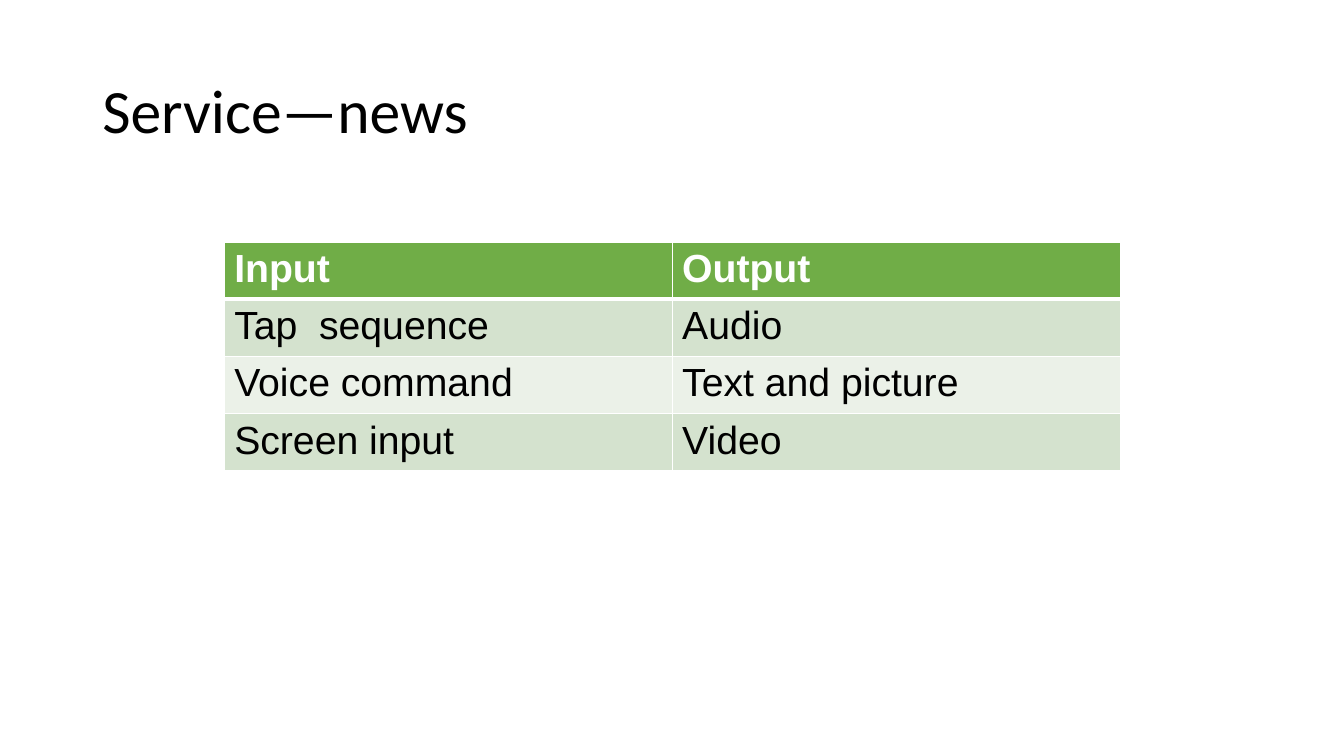
from dataclasses import dataclass

from lxml.etree import SubElement
from pptx import Presentation
from pptx.dml.color import RGBColor
from pptx.enum.text import MSO_ANCHOR
from pptx.oxml.ns import qn
from pptx.slide import Slide
from pptx.table import _Cell
from pptx.util import Cm, Pt

WHITE = "FFFFFF"
BLACK = "000000"
ROW_HEIGHT = 1.35
COLUMN_WIDTH = 11.29


@dataclass(frozen=True)
class ServiceRow:
    input: str
    output: str
    fill: str
    ink: str = BLACK
    bold: bool = False
    top_rule: float = 1
    bottom_rule: float = 1


SERVICE_ROWS = [
    ServiceRow("Input", "Output", "70AD47", WHITE, True, bottom_rule=3),
    ServiceRow("Tap  sequence", "Audio", "D4E2CE", top_rule=3),
    ServiceRow("Voice command", "Text and picture", "EBF1E8"),
    ServiceRow("Screen input", "Video", "D4E2CE"),
]


def color(hex_value: str) -> RGBColor:
    return RGBColor.from_string(hex_value)


def draw_borders(cell: _Cell, row: ServiceRow) -> None:
    properties = cell._tc.get_or_add_tcPr()
    widths = {"lnL": 1, "lnR": 1, "lnT": row.top_rule, "lnB": row.bottom_rule}
    for position, (side, width) in enumerate(widths.items()):
        border = SubElement(properties, qn(f"a:{side}"), w=str(Pt(width)))
        fill = SubElement(border, qn("a:solidFill"))
        SubElement(fill, qn("a:srgbClr"), val=WHITE)
        properties.insert(position, border)


def draw_cell(cell: _Cell, wording: str, row: ServiceRow) -> None:
    cell.text = wording
    font = cell.text_frame.paragraphs[0].font
    font.name = "Arial"
    font.size = Pt(28)
    font.bold = row.bold
    font.color.rgb = color(row.ink)
    cell.fill.solid()
    cell.fill.fore_color.rgb = color(row.fill)
    draw_borders(cell, row)


def draw_title(slide: Slide, wording: str) -> None:
    frame = slide.shapes.add_textbox(Cm(2.33), Cm(1.01), Cm(29.21), Cm(3.68)).text_frame
    frame.word_wrap = True
    frame.vertical_anchor = MSO_ANCHOR.MIDDLE
    heading = frame.paragraphs[0]
    heading.text = wording
    heading.line_spacing = 0.9
    heading.font.name = "Calibri"
    heading.font.size = Pt(44)
    heading.font.color.rgb = color(BLACK)


def draw_services(slide: Slide, rows: list[ServiceRow]) -> None:
    services = slide.shapes.add_table(
        len(rows), 2, Cm(5.65), Cm(6.1),
        Cm(2 * COLUMN_WIDTH), Cm(len(rows) * ROW_HEIGHT),
    ).table
    for column in services.columns:
        column.width = Cm(COLUMN_WIDTH)
    for index, row in enumerate(rows):
        services.rows[index].height = Cm(ROW_HEIGHT)
        for column_index, wording in enumerate((row.input, row.output)):
            draw_cell(services.cell(index, column_index), wording, row)


def main() -> None:
    presentation = Presentation()
    presentation.slide_width = Cm(33.87)
    presentation.slide_height = Cm(19.05)
    slide = presentation.slides.add_slide(presentation.slide_layouts[6])
    draw_title(slide, "Service—news")
    draw_services(slide, SERVICE_ROWS)
    presentation.save("out.pptx")


if __name__ == "__main__":
    main()
